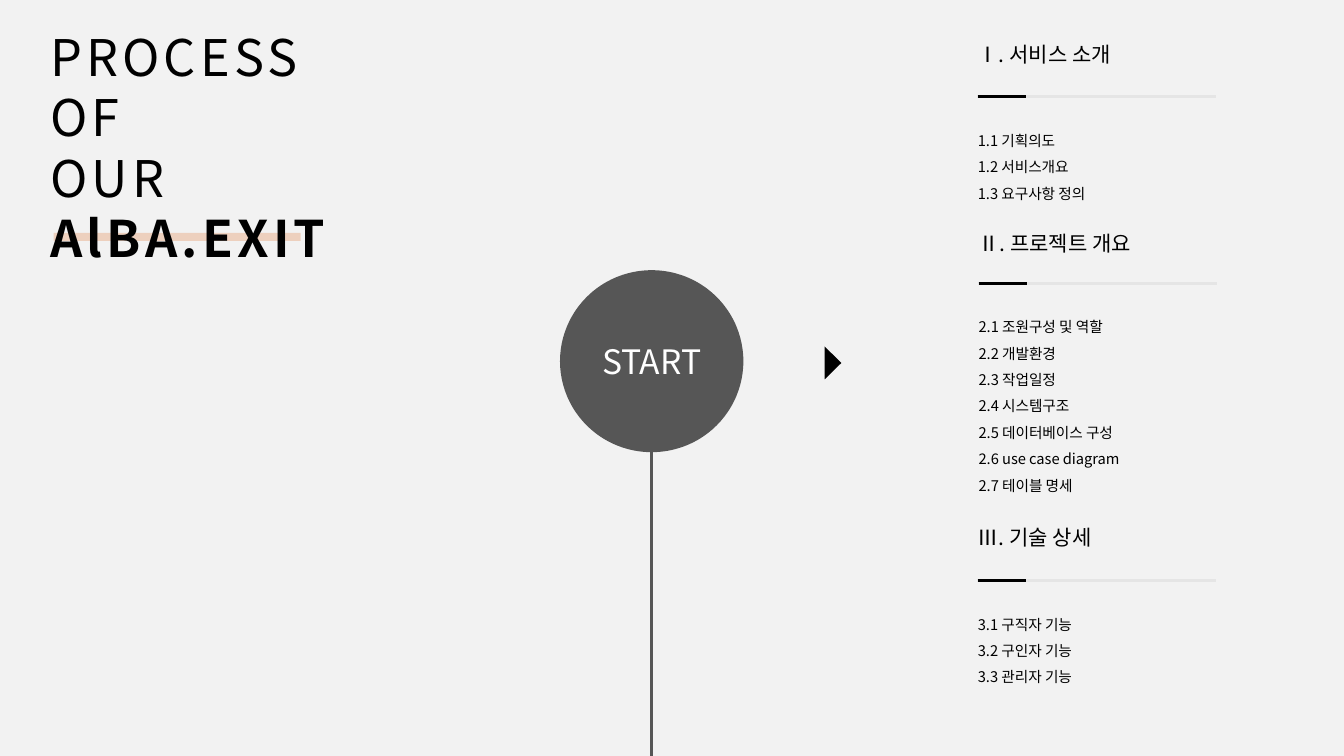
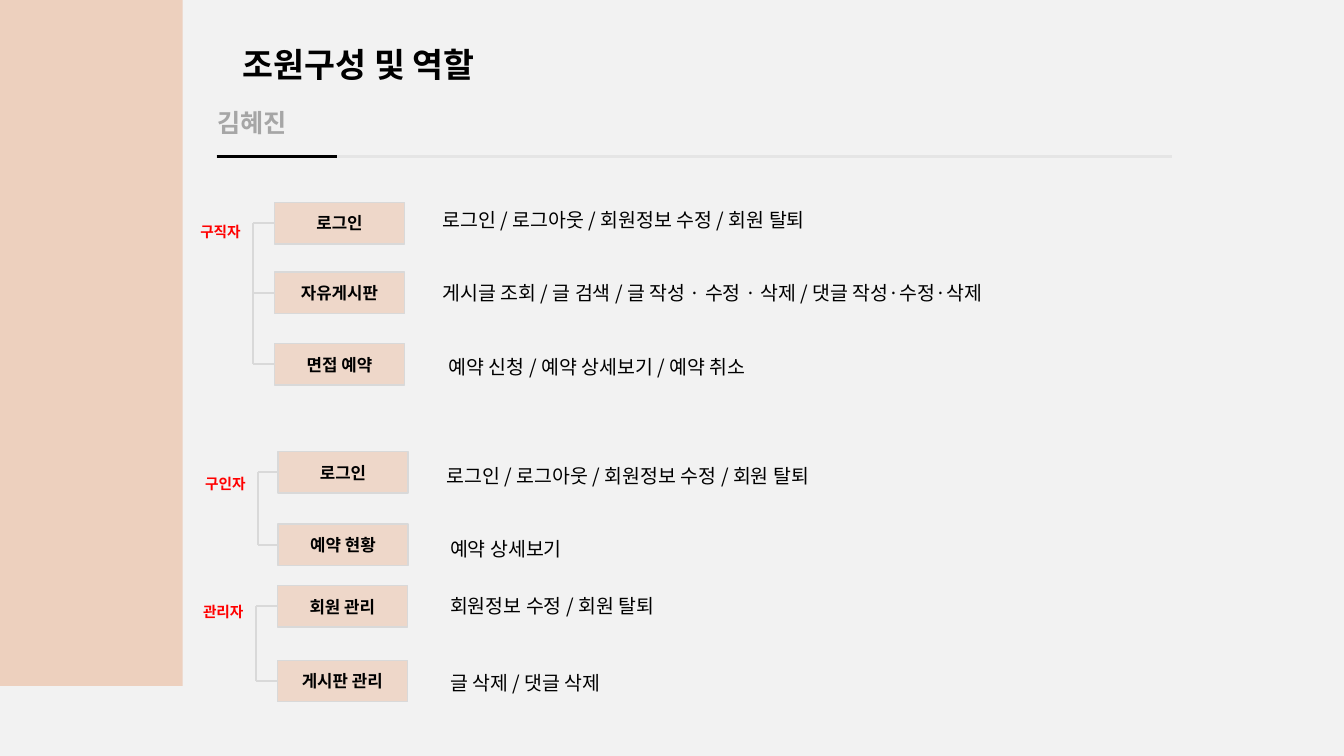
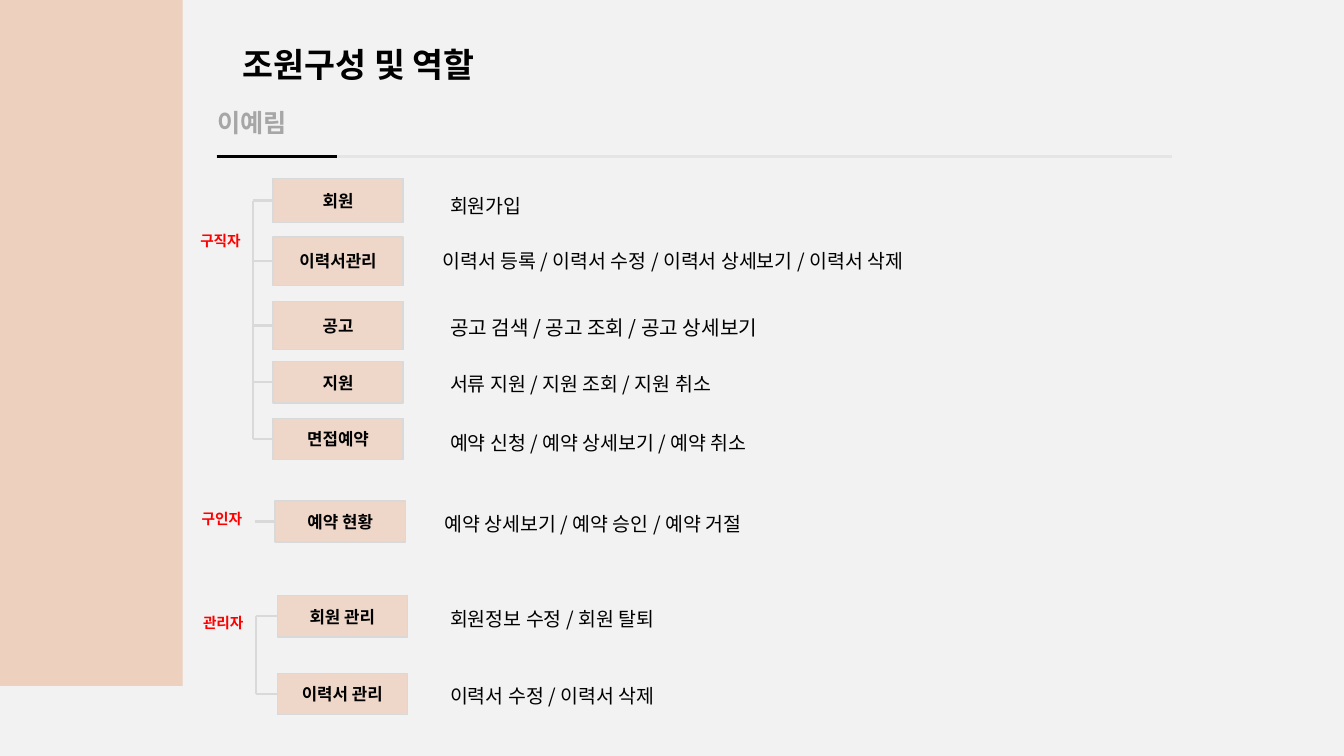
from typing import NamedTuple

from lxml.etree import SubElement
from pptx import Presentation
from pptx.dml.color import RGBColor
from pptx.enum.shapes import MSO_CONNECTOR, MSO_SHAPE
from pptx.enum.text import MSO_ANCHOR, PP_ALIGN
from pptx.oxml.ns import qn
from pptx.util import Pt

FONT = "Noto Sans CJK KR"
PAPER = RGBColor(0xF2, 0xF2, 0xF2)
PEACH = RGBColor(0xED, 0xD0, 0xBE)
CHARCOAL = RGBColor(0x56, 0x56, 0x56)
BLACK = RGBColor(0, 0, 0)
WHITE = RGBColor(0xFF, 0xFF, 0xFF)
RED = RGBColor(0xFF, 0, 0)
GREY = RGBColor(0xA6, 0xA6, 0xA6)
RULE = RGBColor(0xE5, 0xE5, 0xE5)
BRANCH = RGBColor(0xD9, 0xD9, 0xD9)


class Row(NamedTuple):
    """A task box and its detail line; tops are measured from the group."""
    label: str
    top: float
    detail: str
    detail_left: float
    detail_top: float
    height: float = 29.5
    size: float = 13.9


class Group(NamedTuple):
    role: str
    trunk: float
    top: float
    box_left: float
    role_top: float
    rows: list


class Section(NamedTuple):
    heading: str
    left: float
    top: float
    rule_gap: float
    items: list


SECTIONS = [
    Section("Ⅰ. 서비스 소개", 696.5, 27.4, 41.7,
            ["1.1 기획의도", "1.2 서비스개요", "1.3 요구사항 정의"]),
    Section("Ⅱ. 프로젝트 개요", 697, 162.7, 39.6,
            ["2.1 조원구성 및 역할", "2.2 개발환경", "2.3 작업일정", "2.4 시스템구조",
             "2.5 데이터베이스 구성", "2.6 use case diagram", "2.7 테이블 명세"]),
    Section("Ⅲ. 기술 상세", 696.5, 373, 41.7,
            ["3.1 구직자 기능", "3.2 구인자 기능", "3.3 관리자 기능"]),
]

MEMBERS = {
    "김혜진": [
        Group("구직자", 181, 144.7, 196, 10.8, [
            Row("로그인", 0, "로그인 / 로그아웃 / 회원정보 수정 / 회원 탈퇴", 313, -4.3),
            Row("자유게시판", 49.7,
                "게시글 조회 / 글 검색 / 글 작성 · 수정 · 삭제 / 댓글 작성·수정·삭제", 313, 48.3),
            Row("면접 예약", 100.8, "예약 신청 / 예약 상세보기 / 예약 취소", 317.5, 100.8)]),
        Group("구인자", 184.5, 322.6, 198.5, 13, [
            Row("로그인", 0, "로그인 / 로그아웃 / 회원정보 수정 / 회원 탈퇴", 316, 0.7),
            Row("예약 현황", 51.8, "예약 상세보기", 318.5, 53.2)]),
        Group("관리자", 183, 418.3, 198, 8.7, [
            Row("회원 관리", 0, "회원정보 수정 / 회원 탈퇴", 318.5, -2.1),
            Row("게시판 관리", 53.3, "글 삭제 / 댓글 삭제", 318.5, 53.3)]),
    ],
    "이예림": [
        Group("구직자", 181, 127.4, 195, 34.6, [
            Row("회원", 0, "회원가입", 318.5, 2.9, 31.7),
            Row("이력서관리", 41.8,
                "이력서 등록 / 이력서 수정 / 이력서 상세보기 / 이력서 삭제", 313, 42.5, 34.6),
            Row("공고", 87.8, "공고 검색 / 공고 조회 / 공고 상세보기",
                318.5, 89.3, 34.6, 14.4),
            Row("지원", 131, "서류 지원 / 지원 조회 / 지원 취소", 318.5, 130.4),
            Row("면접예약", 171.4, "예약 신청 / 예약 상세보기 / 예약 취소", 318.5, 172.8)]),
        Group("구인자", 182, 357.8, 196.5, 2.9, [
            Row("예약 현황", 0, "예약 상세보기 / 예약 승인 / 예약 거절", 314.5, 0)]),
        Group("관리자", 183, 425.5, 198, 9.4, [
            Row("회원 관리", 0, "회원정보 수정 / 회원 탈퇴", 318.5, 0),
            Row("이력서 관리", 55.4, "이력서 수정 / 이력서 삭제", 318.5, 55.4)]),
    ],
}


# Shared building parts
def write(frame, lines, size, color=BLACK, bold=False, align=PP_ALIGN.LEFT,
          line_spacing=None, tracking=None, inset=None):
    frame.word_wrap = True
    if inset is not None:
        frame.margin_left = frame.margin_right = Pt(inset)
        frame.margin_top = frame.margin_bottom = Pt(inset)
    for index, line in enumerate(lines):
        paragraph = frame.add_paragraph() if index else frame.paragraphs[0]
        paragraph.text = line
        paragraph.alignment = align
        if line_spacing:
            paragraph.line_spacing = line_spacing
        for run in paragraph.runs:
            run.font.size = Pt(size)
            run.font.bold = bold
            run.font.color.rgb = color
            run.font.name = FONT
            properties = run.font._element
            SubElement(properties, qn("a:ea")).set("typeface", FONT)
            if tracking:
                properties.set("spc", str(tracking * 100))
    return frame


def add_text(slide, left, top, width, height, lines, size, **style):
    box = slide.shapes.add_textbox(Pt(left), Pt(top), Pt(width), Pt(height))
    return write(box.text_frame, lines, size, **style)


def add_block(slide, left, top, width, height, fill, kind=MSO_SHAPE.RECTANGLE):
    block = slide.shapes.add_shape(kind, Pt(left), Pt(top), Pt(width), Pt(height))
    block.shadow.inherit = False
    block.fill.solid()
    block.fill.fore_color.rgb = fill
    block.line.fill.background()
    return block


def add_line(slide, x1, y1, x2, y2, color, width):
    line = slide.shapes.add_connector(
        MSO_CONNECTOR.STRAIGHT, Pt(x1), Pt(y1), Pt(x2), Pt(y2))
    line.line.color.rgb = color
    line.line.width = Pt(width)
    SubElement(line._element.spPr, qn("a:effectLst"))
    return line


def add_rule(slide, left, top, width, accent):
    add_line(slide, left, top, left + width, top, RULE, 2)
    add_line(slide, left + 0.5, top, left + accent, top, BLACK, 2)


def new_slide(deck):
    slide = deck.slides.add_slide(deck.slide_layouts[6])
    slide.background.fill.solid()
    slide.background.fill.fore_color.rgb = PAPER
    return slide


# Contents slide
def add_headline(slide, left, top):
    add_block(slide, left + 9.5, top + 151.2, 176.4, 5.8, PEACH)
    headline = add_text(slide, left, top, 371.5, 181.5,
                        ["PROCESS", "OF\vOUR", "AlBA.EXIT"], 36, tracking=3)
    headline.paragraphs[-1].runs[0].font.bold = True


def add_start(slide, left, top, width, height):
    center, middle = left + width / 2, top + height / 2
    add_line(slide, center, middle, center, 540, CHARCOAL, 2)
    start = add_block(slide, left, top, width, height, CHARCOAL, MSO_SHAPE.OVAL)
    start.text_frame.vertical_anchor = MSO_ANCHOR.MIDDLE
    write(start.text_frame, ["START"], 24, color=WHITE,
          align=PP_ALIGN.CENTER, inset=3)


def add_pointer(slide, left, top, width, height):
    outline = slide.shapes.build_freeform(Pt(left), Pt(top))
    outline.add_line_segments([(Pt(left + width), Pt(top + height / 2)),
                               (Pt(left), Pt(top + height))], close=True)
    pointer = outline.convert_to_shape()
    pointer.shadow.inherit = False
    pointer.fill.solid()
    pointer.fill.fore_color.rgb = BLACK
    pointer.line.fill.background()


def add_section(slide, section):
    left, top = section.left, section.top
    rule_top = top + section.rule_gap
    add_text(slide, left, top, 189.5, 33, [section.heading], 15, inset=2)
    add_text(slide, left, rule_top + 16.5, 184.5, 95, section.items, 10.5,
             line_spacing=1.5, inset=2)
    add_rule(slide, left + 1.5, rule_top, 170.5, 35)


def contents_slide(deck):
    slide = new_slide(deck)
    add_headline(slide, 28.8, 15.1)
    add_start(slide, 400, 193, 131, 130)
    add_pointer(slide, 589, 247.5, 12, 23.5)
    for section in SECTIONS:
        add_section(slide, section)


# Member slides
def add_task(slide, left, top, width, row):
    task = add_block(slide, left, top, width, row.height, PEACH)
    color = task.fill._xPr.find(qn("a:solidFill")).find(qn("a:srgbClr"))
    SubElement(color, qn("a:alpha")).set("val", "79000")
    task.line.color.rgb = BRANCH
    task.line.width = Pt(1)
    task.text_frame.vertical_anchor = MSO_ANCHOR.MIDDLE
    write(task.text_frame, [row.label], 12, bold=True, align=PP_ALIGN.CENTER)
    return task


def add_group(slide, group):
    trunk, top = group.trunk, group.top
    add_text(slide, trunk - 45, top + group.role_top, 60, 20, [group.role],
             10.5, color=RED, bold=True)
    middles = [top + row.top + row.height / 2 for row in group.rows]
    if len(middles) > 1:
        add_line(slide, trunk, middles[0], trunk, middles[-1], BRANCH, 1.5)
    for row, middle in zip(group.rows, middles):
        task = add_task(slide, group.box_left, top + row.top, 93, row)
        branch = add_line(slide, trunk, middle, group.box_left, middle, BRANCH, 1.5)
        branch.end_connect(task, 1)
        add_text(slide, row.detail_left, top + row.detail_top, 574.5, 29,
                 [row.detail], row.size, line_spacing=1.3, inset=3)


def member_slide(deck, name, groups):
    slide = new_slide(deck)
    add_block(slide, 0, 0, 130.5, 490, PEACH)
    add_text(slide, 166.3, 13.7, 342.5, 51, ["조원구성 및 역할"], 24,
             bold=True, line_spacing=1.5)
    add_text(slide, 148.3, 73.4, 119, 29, [name], 18, color=GREY, bold=True)
    add_rule(slide, 154.5, 112, 683, 86)
    for group in groups:
        add_group(slide, group)


def main():
    deck = Presentation()
    deck.slide_width, deck.slide_height = Pt(960), Pt(540)
    contents_slide(deck)
    for name, groups in MEMBERS.items():
        member_slide(deck, name, groups)
    deck.save("out.pptx")


if __name__ == "__main__":
    main()
